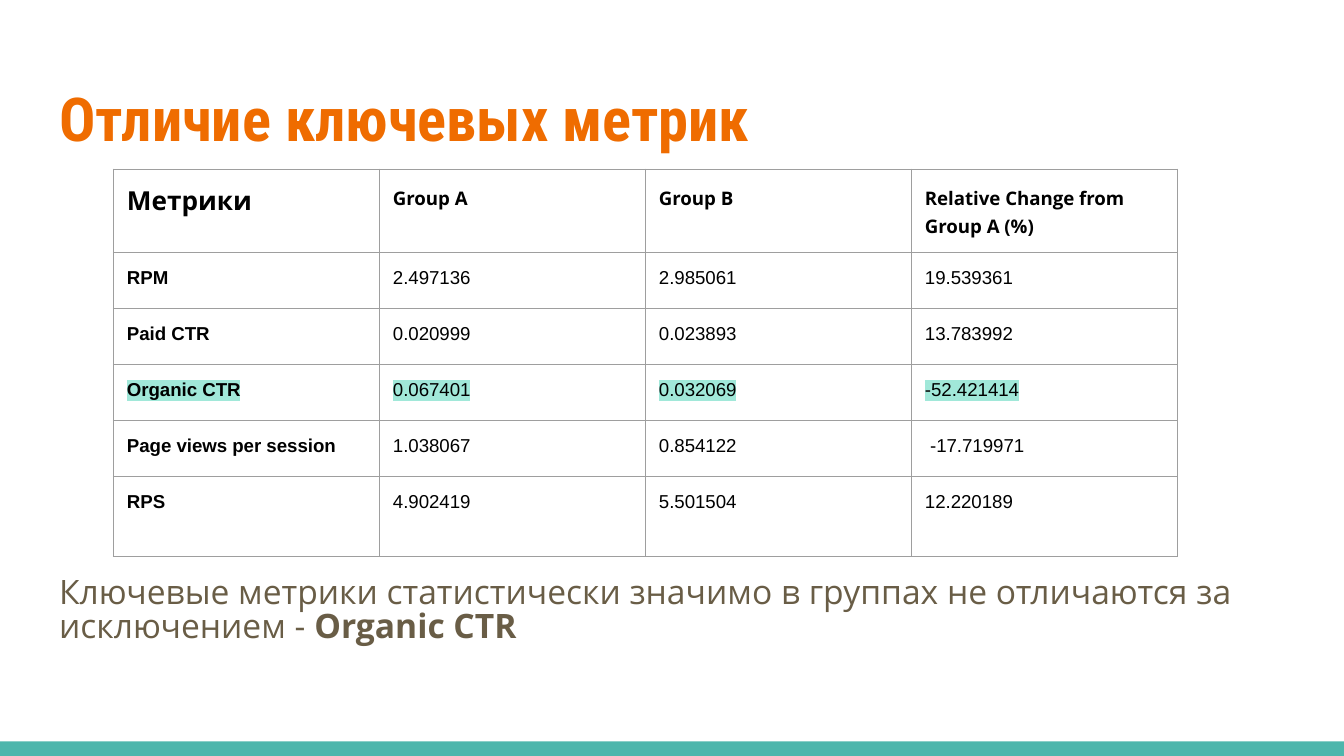
from lxml import etree
from pptx import Presentation
from pptx.dml.color import RGBColor
from pptx.enum import shapes, text
from pptx.oxml import ns
from pptx.util import Pt

ORANGE = RGBColor(0xEF, 0x6C, 0x00)
BROWN = RGBColor(0x69, 0x5D, 0x46)
TEAL = RGBColor(0x4D, 0xB6, 0xAC)
MINT = RGBColor(0xA1, 0xE8, 0xD9)
GREY = RGBColor(0x9E, 0x9E, 0x9E)
BLACK = RGBColor(0, 0, 0)

INSET = Pt(7.2)
COLUMN_WIDTH = 142.5
ROW_HEIGHTS = [44, 30, 30, 30, 30, 43]
METRICS = [
    ["Метрики", "Group A", "Group B", "Relative Change from Group A (%)"],
    ["RPM", "2.497136", "2.985061", "19.539361"],
    ["Paid CTR", "0.020999", "0.023893", "13.783992"],
    ["Organic CTR", "0.067401", "0.032069", "-52.421414"],
    ["Page views per session", "1.038067", "0.854122", " -17.719971"],
    ["RPS", "4.902419", "5.501504", "12.220189"],
]
HIGHLIGHTED_ROW = 3
HIGHLIGHT_ENDS = [94.3, 44.5, 88.4, None]


def add_element(parent, tag, **attributes):
    return etree.SubElement(parent, ns.qn(tag), attributes)


def add_color(parent, color):
    add_element(parent, "a:srgbClr", val=str(color))


def style_font(font, name, size, color, bold=False):
    font.name = name
    font.size = Pt(size)
    font.color.rgb = color
    font.bold = bold


def place(shape, left, top, width, height):
    shape.left, shape.top = Pt(left), Pt(top)
    shape.width, shape.height = Pt(width), Pt(height)


def set_frame(frame, anchor, bottom=INSET):
    frame.word_wrap = True
    frame.auto_size = text.MSO_AUTO_SIZE.NONE
    frame.vertical_anchor = anchor
    frame.margin_left = frame.margin_right = frame.margin_top = INSET
    frame.margin_bottom = bottom


def fill_title(title):
    place(title, 24.5, 35.3, 671, 55.4)
    set_frame(title.text_frame, text.MSO_ANCHOR.MIDDLE)
    paragraph = title.text_frame.paragraphs[0]
    paragraph.text = "Отличие ключевых метрик"
    paragraph.alignment = text.PP_ALIGN.LEFT
    style_font(paragraph.font, "Roboto Condensed", 32.4, ORANGE, True)


def fill_conclusion(body):
    place(body, 24.5, 99.4, 671, 260)
    set_frame(body.text_frame, text.MSO_ANCHOR.BOTTOM, Pt(14))
    paragraph = body.text_frame.paragraphs[0]
    paragraph.line_spacing = 0.83
    paragraph.space_before = paragraph.space_after = Pt(0)
    properties = paragraph._p.get_or_add_pPr()
    properties.set("marL", "0")
    properties.set("indent", "0")
    add_element(properties, "a:buNone")
    statement = paragraph.add_run()
    statement.text = "Ключевые метрики статистически значимо в группах не отличаются за исключением - "
    style_font(statement.font, "Open Sans", 18, BROWN)
    exception = paragraph.add_run()
    exception.text = "Organic CTR"
    style_font(exception.font, "Open Sans", 18, BROWN, True)


def draw_borders(cell):
    properties = cell._tc.get_or_add_tcPr()
    for position, side in enumerate(("a:lnL", "a:lnR", "a:lnT", "a:lnB")):
        line = etree.Element(ns.qn(side), {"w": str(Pt(0.75))})
        add_color(add_element(line, "a:solidFill"), GREY)
        properties.insert(position, line)


def highlight(paragraph, end):
    if end:
        tabs = add_element(paragraph._p.get_or_add_pPr(), "a:tabLst")
        add_element(tabs, "a:tab", pos=str(Pt(end)), algn="l")
        paragraph.runs[0].text += "\t"
    properties = paragraph.runs[0]._r.get_or_add_rPr()
    add_color(add_element(properties, "a:highlight"), MINT)


def fill_cell(cell, row, column):
    cell.fill.background()
    cell.margin_left = cell.margin_right = INSET
    cell.margin_top = cell.margin_bottom = INSET
    draw_borders(cell)
    paragraph = cell.text_frame.paragraphs[0]
    paragraph.text = METRICS[row][column]
    corner = row == column == 0
    paragraph.line_spacing = 1.0 if corner else 1.11
    if row == HIGHLIGHTED_ROW:
        highlight(paragraph, HIGHLIGHT_ENDS[column])
    name = "Open Sans" if row == 0 else "Arial"
    style_font(paragraph.font, name, 14 if corner else 10, BLACK, row == 0 or column == 0)


def add_metrics_table(slide):
    rows, columns = len(METRICS), len(METRICS[0])
    frame = slide.shapes.add_table(
        rows, columns, Pt(60.8), Pt(90.7), Pt(COLUMN_WIDTH * columns), Pt(sum(ROW_HEIGHTS)))
    table = frame.table
    table.first_row = table.horz_banding = False
    for column in table.columns:
        column.width = Pt(COLUMN_WIDTH)
    for row, height in enumerate(ROW_HEIGHTS):
        table.rows[row].height = Pt(height)
        for column in range(columns):
            fill_cell(table.cell(row, column), row, column)


def add_footer_bar(slide):
    bar = slide.shapes.add_shape(
        shapes.MSO_SHAPE.RECTANGLE, Pt(0), Pt(397.2), Pt(720), Pt(7.8))
    bar.shadow.inherit = False
    bar.fill.solid()
    bar.fill.fore_color.rgb = TEAL
    bar.line.fill.background()


def main():
    presentation = Presentation()
    presentation.slide_width, presentation.slide_height = Pt(720), Pt(405)
    slide = presentation.slides.add_slide(presentation.slide_layouts[1])
    add_footer_bar(slide)
    fill_title(slide.shapes.title)
    fill_conclusion(slide.placeholders[1])
    add_metrics_table(slide)
    presentation.save("out.pptx")


if __name__ == "__main__":
    main()
